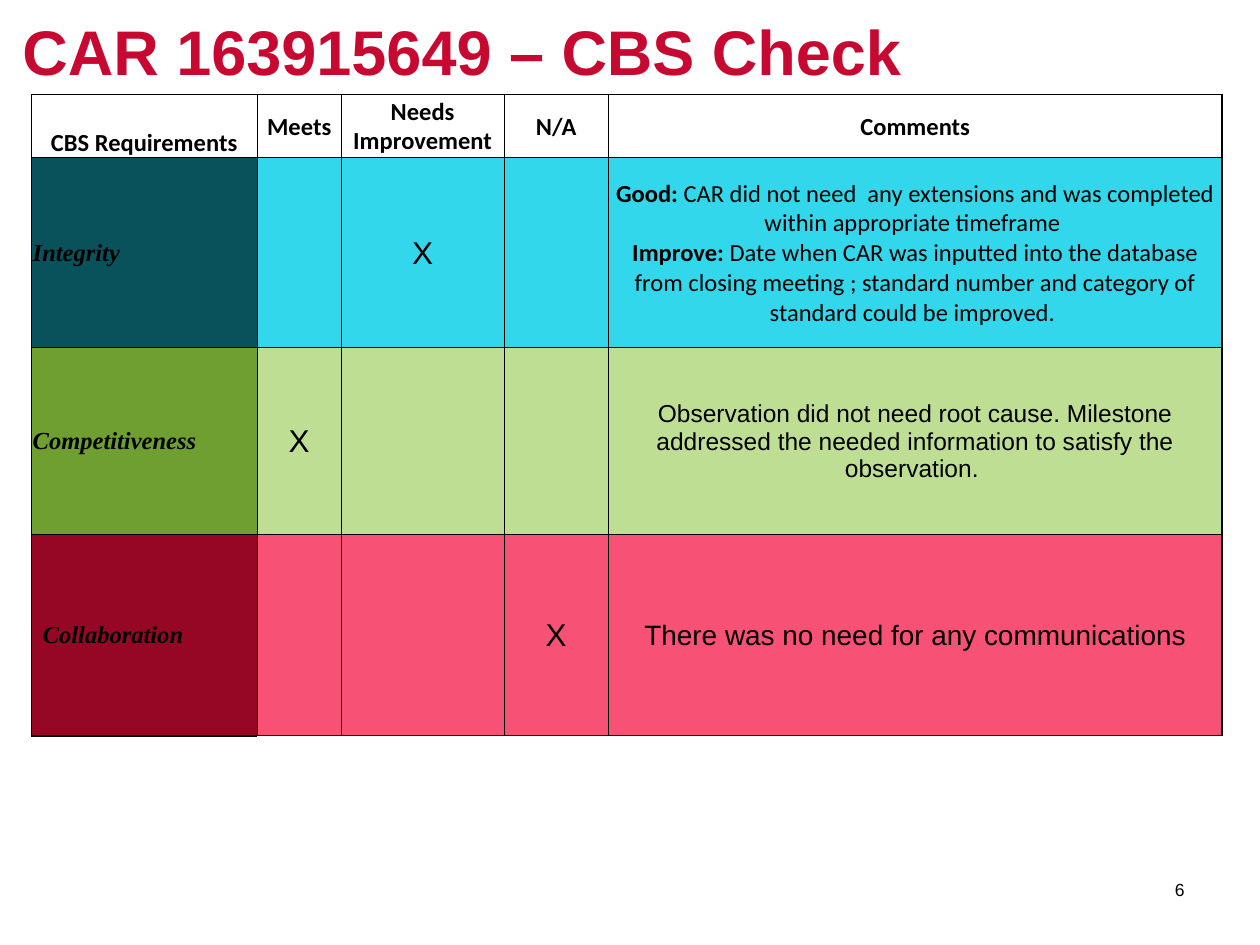
from lxml import etree
from pptx import Presentation
from pptx.dml.color import RGBColor
from pptx.enum.text import MSO_ANCHOR, PP_ALIGN
from pptx.oxml.ns import qn
from pptx.util import Inches, Pt

LEFT, CENTER, RIGHT = PP_ALIGN.LEFT, PP_ALIGN.CENTER, PP_ALIGN.RIGHT
TOP, MIDDLE, BOTTOM = MSO_ANCHOR.TOP, MSO_ANCHOR.MIDDLE, MSO_ANCHOR.BOTTOM

COLORS = {
    "title": "C70932",
    "black": "000000",
    "teal": "09525C",
    "cyan": "32D7EB",
    "green": "6F9F30",
    "light green": "BEDF93",
    "maroon": "950725",
    "pink": "F75275",
}

TITLE = "CAR 163915649 – CBS Check"
PAGE_NUMBER = "6"
HEADERS = ["CBS Requirements", "Meets", "Needs Improvement", "N/A", "Comments"]
REQUIREMENTS = [
    {
        "name": "Integrity", "rating": "Needs Improvement",
        "label_fill": "teal", "row_fill": "cyan", "label_inset": 0.01,
        "comment_font": ("Calibri", 14),
        "comments": [
            [("Good: ", True),
             ("CAR did not need  any extensions and was completed "
              "within appropriate timeframe ", False)],
            [("Improve: ", True),
             ("Date when CAR was inputted into the database from closing meeting ; "
              "standard number and category of standard could be improved. ", False)],
        ],
    },
    {
        "name": "Competitiveness", "rating": "Meets",
        "label_fill": "green", "row_fill": "light green", "label_inset": 0.01,
        "comment_font": ("Arial", 14),
        "comments": [[("Observation did not need root cause. Milestone addressed the "
                       "needed information to satisfy the observation. ", False)]],
    },
    {
        "name": "Collaboration", "rating": "N/A",
        "label_fill": "maroon", "row_fill": "pink", "label_inset": 0.09,
        "comment_font": ("Arial", 16),
        "comments": [[("There was no need for any communications", False)]],
    },
]
COLUMN_WIDTHS = [1.79, 0.67, 1.29, 0.83, 4.87]
ROW_HEIGHTS = [0.5, 1.51, 1.48, 1.6]


def color(name):
    return RGBColor.from_string(COLORS[name])


def style(paragraph, name, size, bold=False, italic=False, align=CENTER, ink="black"):
    paragraph.alignment = align
    font = paragraph.font
    font.name, font.size, font.bold, font.italic = name, Pt(size), bold, italic
    font.color.rgb = color(ink)


def add_text(slide, text, box, anchor, top_inset, **font):
    shape = slide.shapes.add_textbox(*map(Inches, box))
    frame = shape.text_frame
    frame.word_wrap = True
    frame.vertical_anchor = anchor
    frame.margin_top = Inches(top_inset)
    frame.text = text
    style(frame.paragraphs[0], **font)


def add_borders(cell, widths):
    properties = cell._tc.get_or_add_tcPr()
    for side, width in zip("LRTB", widths):
        line = etree.SubElement(properties, qn(f"a:ln{side}"), w=str(Pt(width)))
        fill = etree.SubElement(line, qn("a:solidFill"))
        etree.SubElement(fill, qn("a:srgbClr"), val=COLORS["black"])


def format_cell(cell, fill, anchor=MIDDLE, left_inset=0.01):
    cell.vertical_anchor = anchor
    cell.margin_left = Inches(left_inset)
    cell.margin_top = cell.margin_right = Inches(0.01)
    cell.margin_bottom = 0
    if fill:
        cell.fill.solid()
        cell.fill.fore_color.rgb = color(fill)
    else:
        cell.fill.background()


def write_cell(cell, text, **font):
    cell.text = text
    style(cell.text_frame.paragraphs[0], **font)


def write_comments(cell, comments, name, size):
    frame = cell.text_frame
    for index, runs in enumerate(comments):
        paragraph = frame.add_paragraph() if index else frame.paragraphs[0]
        style(paragraph, name, size)
        for text, bold in runs:
            run = paragraph.add_run()
            run.text = text
            run.font.bold = bold


def add_requirements_table(slide):
    frame = slide.shapes.add_table(
        len(ROW_HEIGHTS), len(COLUMN_WIDTHS), Inches(0.25), Inches(0.75),
        Inches(sum(COLUMN_WIDTHS)), Inches(sum(ROW_HEIGHTS)))
    table = frame.table
    table.first_row = table.horz_banding = False
    for column, width in zip(table.columns, COLUMN_WIDTHS):
        column.width = Inches(width)
    for row, height in zip(table.rows, ROW_HEIGHTS):
        row.height = Inches(height)

    last_row, last_column = len(ROW_HEIGHTS) - 1, len(COLUMN_WIDTHS) - 1
    for row in range(last_row + 1):
        for column in range(last_column + 1):
            outer = (column == 0, column == last_column, row == 0,
                     row == last_row and column == 0)
            add_borders(table.cell(row, column), [1 if edge else 0.5 for edge in outer])

    for column, header in enumerate(HEADERS):
        cell = table.cell(0, column)
        format_cell(cell, None, MIDDLE if column else BOTTOM)
        write_cell(cell, header, name="Calibri", size=14, bold=True)

    for row, requirement in enumerate(REQUIREMENTS, start=1):
        label = table.cell(row, 0)
        format_cell(label, requirement["label_fill"], left_inset=requirement["label_inset"])
        write_cell(label, requirement["name"], name="Times New Roman", size=14,
                   bold=True, italic=True, align=LEFT)
        for column in range(1, last_column + 1):
            format_cell(table.cell(row, column), requirement["row_fill"])
        rating = table.cell(row, HEADERS.index(requirement["rating"]))
        write_cell(rating, "X", name="Arial", size=18)
        write_comments(table.cell(row, last_column), requirement["comments"],
                       *requirement["comment_font"])


def main():
    presentation = Presentation()
    presentation.slide_width, presentation.slide_height = Inches(10), Inches(7.5)
    slide = presentation.slides.add_slide(presentation.slide_layouts[6])
    add_text(slide, TITLE, (0.08, 0, 9, 0.95), TOP, 0.1,
             name="Arial", size=36, bold=True, align=LEFT, ink="title")
    add_text(slide, PAGE_NUMBER, (8.8, 6.86, 0.7, 0.4), MIDDLE, 0.05,
             name="Arial", size=10, align=RIGHT)
    add_requirements_table(slide)
    presentation.save("out.pptx")


if __name__ == "__main__":
    main()
